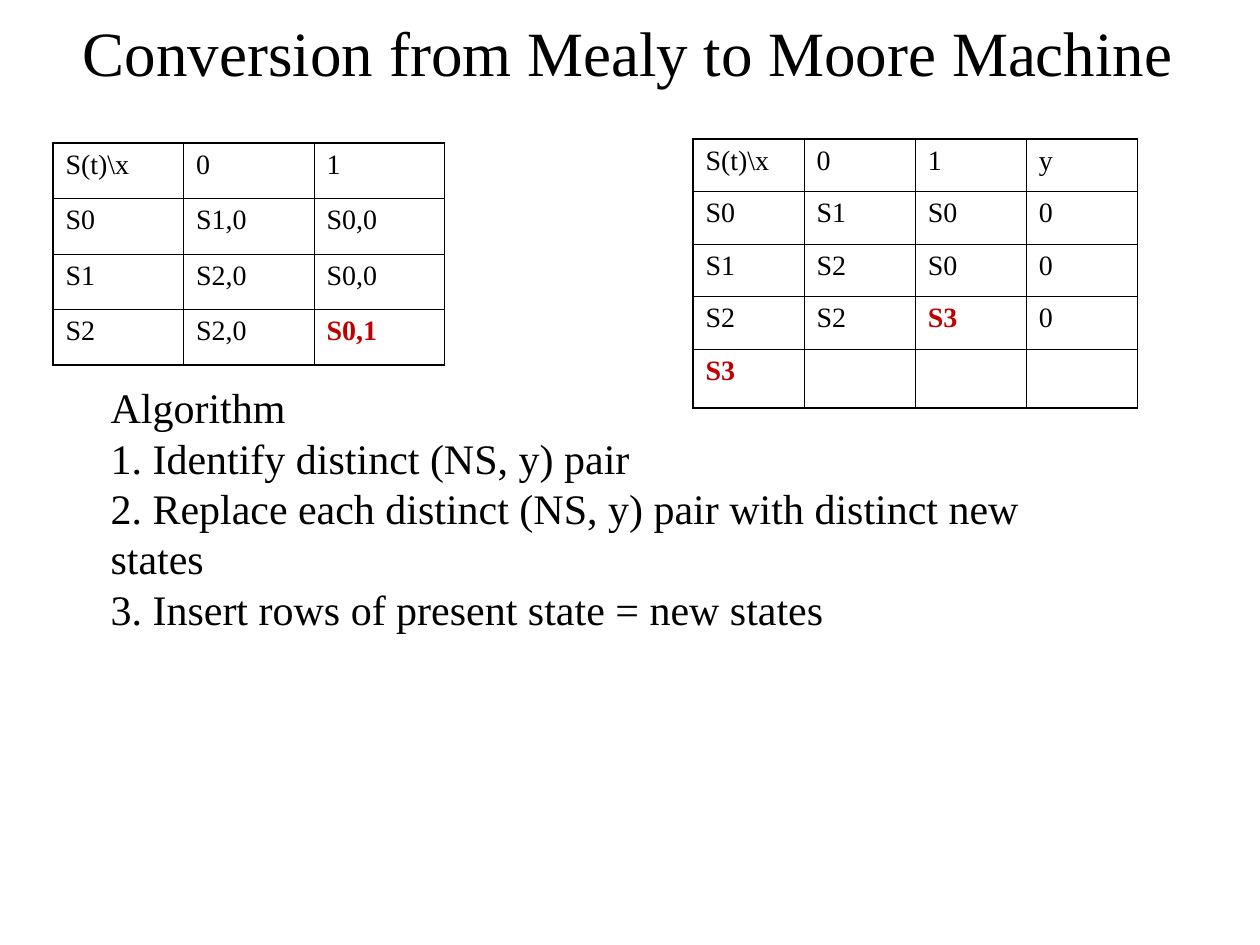
from lxml import etree
from pptx import Presentation
from pptx import util as u
from pptx.dml.color import RGBColor
from pptx.enum import text
from pptx.oxml.ns import qn

BLACK = RGBColor(0x00, 0x00, 0x00)
RED = RGBColor(0xC0, 0x00, 0x00)

MEALY = [
    ["S(t)\\x", "0", "1"],
    ["S0", "S1,0", "S0,0"],
    ["S1", "S2,0", "S0,0"],
    ["S2", "S2,0", "S0,1"],
]
MOORE = [
    ["S(t)\\x", "0", "1", "y"],
    ["S0", "S1", "S0", "0"],
    ["S1", "S2", "S0", "0"],
    ["S2", "S2", "S3", "0"],
    ["S3", "", "", ""],
]
NEW_STATES = {"S0,1", "S3"}
ALGORITHM = [
    "Algorithm",
    "1. Identify distinct (NS, y) pair",
    "2. Replace each distinct (NS, y) pair with distinct new states",
    "3. Insert rows of present state = new states",
]


class SlideBuilder:
    font = "Times New Roman"
    cell_size = 16
    outer_line = u.Pt(1.08)
    inner_line = u.Pt(0.45)

    def __init__(self, slide):
        self.slide = slide

    def add_run(self, paragraph, words, size, color=BLACK, bold=False):
        run = paragraph.add_run()
        run.text = words
        run.font.name = self.font
        run.font.size = u.Pt(size)
        run.font.bold = bold
        run.font.color.rgb = color

    def add_text(self, lines, left, top, width, height, size, wrap=True,
                 align=text.PP_ALIGN.LEFT, anchor=text.MSO_ANCHOR.TOP):
        box = self.slide.shapes.add_textbox(
            u.Cm(left), u.Cm(top), u.Cm(width), u.Cm(height))
        frame = box.text_frame
        frame.word_wrap = wrap
        frame.vertical_anchor = anchor
        for index, line in enumerate(lines):
            paragraph = frame.add_paragraph() if index else frame.paragraphs[0]
            paragraph.alignment = align
            self.add_run(paragraph, line, size)

    def add_border(self, cell, side, width):
        line = etree.SubElement(cell._tc.get_or_add_tcPr(), qn(f"a:ln{side}"), w=str(width))
        fill = etree.SubElement(line, qn("a:solidFill"))
        etree.SubElement(fill, qn("a:srgbClr"), val=str(BLACK))

    def add_state_table(self, states, left, top, column_width, row_heights):
        """Draw a state table with a heavier frame and the new states in red."""
        rows, columns = len(states), len(states[0])
        table = self.slide.shapes.add_table(
            rows, columns, u.Cm(left), u.Cm(top),
            u.Cm(column_width * columns), u.Cm(sum(row_heights))).table
        table.first_row = table.horz_banding = False
        for column in table.columns:
            column.width = u.Cm(column_width)
        for r, (states_row, height) in enumerate(zip(states, row_heights)):
            table.rows[r].height = u.Cm(height)
            for c, state in enumerate(states_row):
                cell = table.cell(r, c)
                on_frame = {"L": c == 0, "R": c == columns - 1,
                            "T": r == 0, "B": r == rows - 1}
                for side, outer in on_frame.items():
                    self.add_border(cell, side, self.outer_line if outer else self.inner_line)
                cell.fill.background()
                if state:
                    paragraph = cell.text_frame.paragraphs[0]
                    paragraph.space_before = u.Pt(4)
                    is_new = state in NEW_STATES
                    self.add_run(paragraph, state, self.cell_size,
                                 RED if is_new else BLACK, is_new)


def main():
    deck = Presentation()
    deck.slide_width, deck.slide_height = u.Cm(25.4), u.Cm(19.05)
    builder = SlideBuilder(deck.slides.add_slide(deck.slide_layouts[6]))

    builder.add_state_table(MOORE, 13.97, 2.8, 2.24, [1.06] * 4 + [1.19])
    builder.add_text(["Conversion from Mealy to Moore Machine"],
                     0.38, 0, 24.56, 2.06, 36,
                     align=text.PP_ALIGN.CENTER, anchor=text.MSO_ANCHOR.MIDDLE)
    builder.add_state_table(MEALY, 1.07, 2.88, 2.63, [1.12] * 4)
    builder.add_text(ALGORITHM, 1.98, 7.57, 20.9, 4.32, 24, wrap=False)

    deck.save("out.pptx")


if __name__ == "__main__":
    main()
